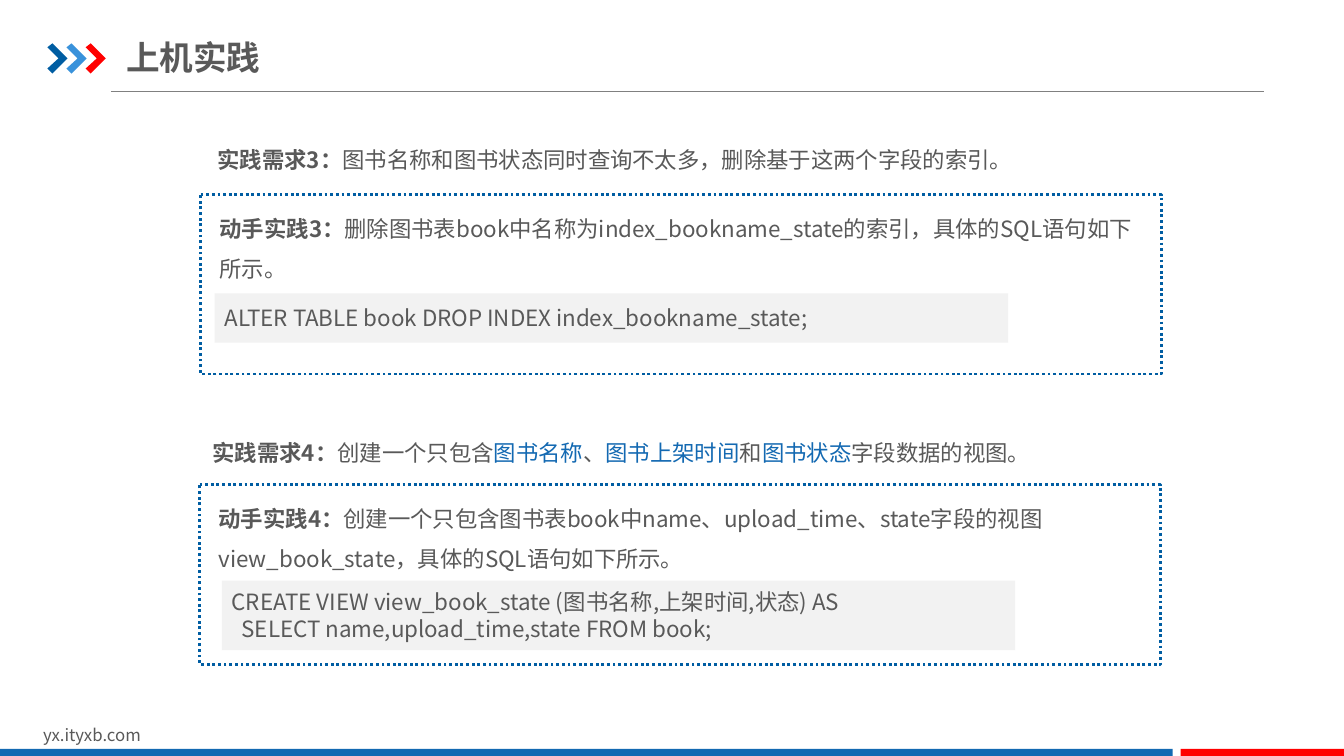
from lxml import etree
from pptx import Presentation
from pptx.dml.color import RGBColor
from pptx.enum import dml, shapes, text
from pptx.oxml.ns import qn
from pptx.util import Inches, Pt

FONT = "Noto Sans CJK SC"
GREY = RGBColor(0x59, 0x59, 0x59)
RULE_GREY = RGBColor(0x80, 0x80, 0x80)
PALE_GREY = RGBColor(0xF2, 0xF2, 0xF2)
WHITE = RGBColor(0xFF, 0xFF, 0xFF)
BLUE = RGBColor(0x13, 0x69, 0xB2)
DARK_BLUE = RGBColor(0x00, 0x5D, 0xA2)
LIGHT_BLUE = RGBColor(0x39, 0x92, 0xDB)
RED = RGBColor(0xFF, 0x00, 0x00)


def add_run(paragraph, wording, size=16, color=GREY, bold=False):
    run = paragraph.add_run()
    run.text = wording
    run.font.name = FONT
    run.font.size = Pt(size)
    run.font.bold = bold
    run.font.color.rgb = color
    east_asian = etree.SubElement(run.font._element, qn("a:ea"))
    east_asian.set("typeface", FONT)


def add_text_box(slide, left, top, width, height):
    box = slide.shapes.add_textbox(Inches(left), Inches(top), Inches(width), Inches(height))
    box.text_frame.word_wrap = True
    box.text_frame.auto_size = text.MSO_AUTO_SIZE.SHAPE_TO_FIT_TEXT
    return box.text_frame.paragraphs[0]


def add_block(slide, left, top, width, height, fill, kind=shapes.MSO_SHAPE.RECTANGLE):
    block = slide.shapes.add_shape(
        kind, Inches(left), Inches(top), Inches(width), Inches(height))
    block.shadow.inherit = False
    block.fill.solid()
    block.fill.fore_color.rgb = fill
    block.line.fill.background()
    return block


def add_chevron(slide, left, top, color):
    outline = [(0, 0.04), (0.05, 0), (0.2, 0.15), (0.05, 0.3), (0, 0.25), (0.11, 0.15)]
    points = [(Inches(left + x), Inches(top + y)) for x, y in outline]
    builder = slide.shapes.build_freeform(*points[0])
    builder.add_line_segments(points[1:], close=True)
    chevron = builder.convert_to_shape()
    chevron.shadow.inherit = False
    chevron.fill.solid()
    chevron.fill.fore_color.rgb = color
    chevron.line.fill.background()


def add_header(slide, left, top, wording):
    for index, color in enumerate((DARK_BLUE, LIGHT_BLUE, RED)):
        add_chevron(slide, left + index * 0.19, top + 0.14, color)

    rule_y = Inches(top + 0.62)
    rule = slide.shapes.add_connector(
        shapes.MSO_CONNECTOR.STRAIGHT, Inches(left + 0.63), rule_y, Inches(left + 12.07), rule_y)
    rule.line.color.rgb = RULE_GREY
    rule.line.width = Pt(0.75)
    etree.SubElement(rule._element.spPr, qn("a:effectLst"))

    title = slide.shapes.title
    title.left, title.top = Inches(left + 0.78), Inches(top)
    title.width, title.height = Inches(4.26), Inches(0.55)
    frame = title.text_frame
    frame.auto_size = text.MSO_AUTO_SIZE.NONE
    frame.vertical_anchor = text.MSO_ANCHOR.MIDDLE
    frame.margin_left = frame.margin_right = 0
    frame.margin_top = frame.margin_bottom = Inches(0.07)
    paragraph = frame.paragraphs[0]
    paragraph.alignment = text.PP_ALIGN.LEFT
    add_run(paragraph, wording, size=24, bold=True)


def add_footer(slide, top, address):
    add_run(add_text_box(slide, 0.33, top, 3.18, 0.3), address, size=12)
    add_block(slide, 0, top + 0.29, 11.63, 0.09, BLUE)
    add_block(slide, 11.71, top + 0.29, 1.63, 0.09, RED)


def add_requirement(slide, left, top, label, pieces):
    """Pieces are (wording, color) pairs that follow the bold label."""
    paragraph = add_text_box(slide, left, top, 10.23, 0.5)
    paragraph.line_spacing = 1.5
    add_run(paragraph, label, bold=True)
    for wording, color in pieces:
        add_run(paragraph, wording, color=color)


def add_code(slide, left, top, height, lines):
    frame = add_block(slide, left, top, 7.87, height, PALE_GREY).text_frame
    frame.word_wrap = True
    frame.vertical_anchor = text.MSO_ANCHOR.MIDDLE
    for index, line in enumerate(lines):
        paragraph = frame.paragraphs[0] if index == 0 else frame.add_paragraph()
        paragraph.alignment = text.PP_ALIGN.LEFT
        add_run(paragraph, line)


def add_practice(slide, left, top, label, task):
    panel = add_block(slide, left, top, 9.53, 1.78, WHITE, shapes.MSO_SHAPE.FLOWCHART_PROCESS)
    panel.line.color.rgb = DARK_BLUE
    panel.line.width = Pt(2)
    panel.line.dash_style = dml.MSO_LINE.ROUND_DOT
    paragraph = add_text_box(slide, left + 0.09, top + 0.02, 9.32, 0.91)
    paragraph.line_spacing = 1.5
    add_run(paragraph, label, bold=True)
    add_run(paragraph, task)


def main():
    presentation = Presentation()
    presentation.slide_width = Inches(13.33)
    presentation.slide_height = Inches(7.5)
    title_only = presentation.slide_layouts[5]
    slide = presentation.slides.add_slide(title_only)

    add_header(slide, 0.47, 0.29, "上机实践")
    add_footer(slide, 7.14, "yx.ityxb.com")

    add_requirement(slide, 2.06, 1.27, "实践需求3：", [
        ("图书名称和图书状态同时查询不太多，删除基于这两个字段的索引。", GREY)])
    add_practice(
        slide, 1.99, 1.93, "动手实践3：",
        "删除图书表book中名称为index_bookname_state的索引，具体的SQL语句如下所示。")
    add_code(slide, 2.13, 2.91, 0.49, ["ALTER TABLE book DROP INDEX index_bookname_state;"])

    add_requirement(slide, 2.01, 4.17, "实践需求4：", [
        ("创建一个只包含", GREY), ("图书名称", BLUE), ("、", GREY), ("图书上架时间", BLUE),
        ("和", GREY), ("图书状态", BLUE), ("字段数据的视图。", GREY)])
    add_practice(
        slide, 1.98, 4.81, "动手实践4：",
        "创建一个只包含图书表book中name、upload_time、state字段的视图"
        "view_book_state，具体的SQL语句如下所示。")
    add_code(slide, 2.2, 5.76, 0.69, [
        "CREATE VIEW view_book_state (图书名称,上架时间,状态) AS",
        "  SELECT name,upload_time,state FROM book;"])

    presentation.save("out.pptx")


if __name__ == "__main__":
    main()
